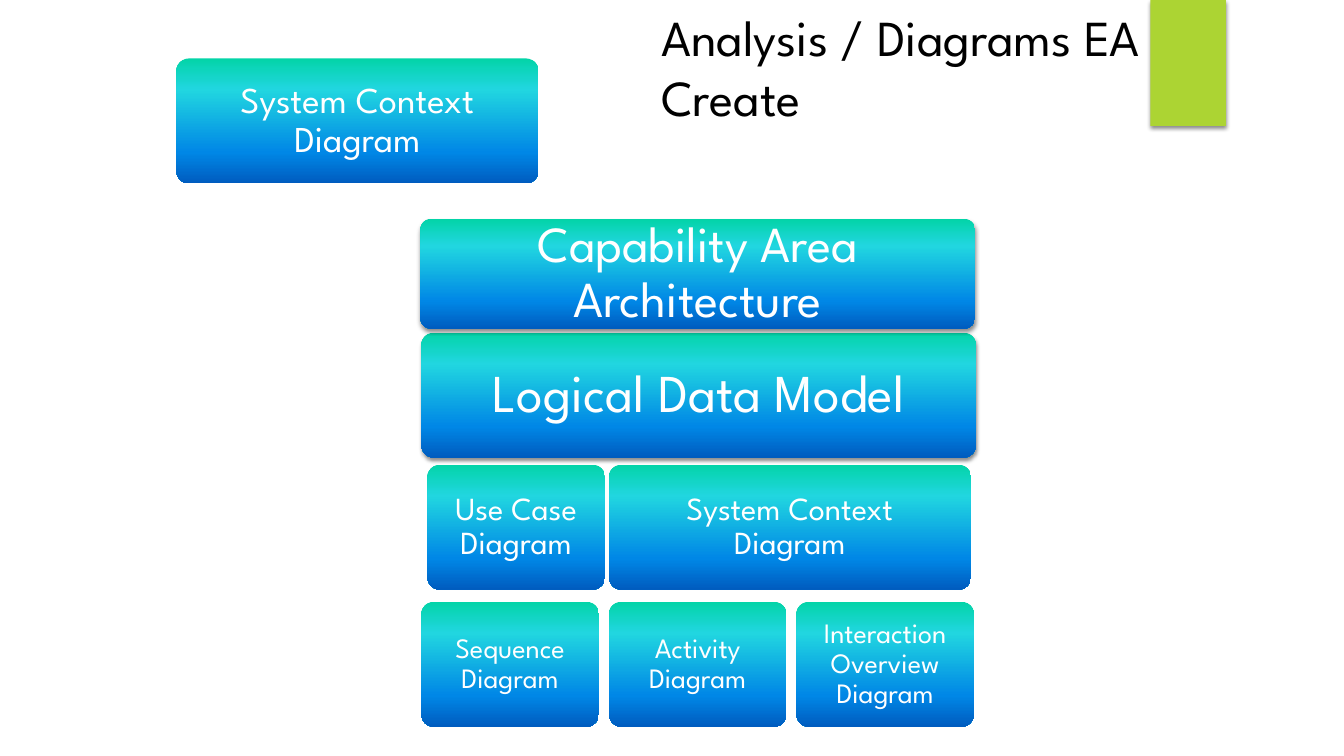
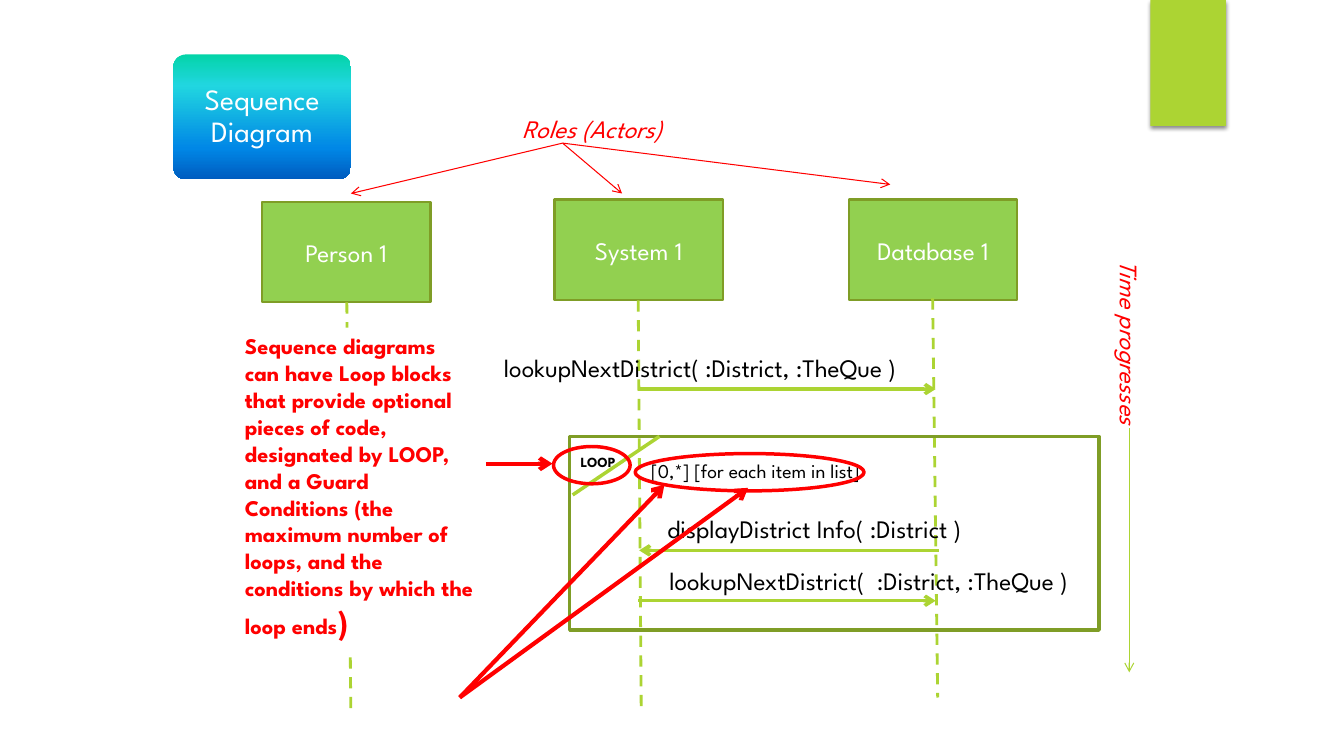
from dataclasses import dataclass

from lxml.etree import SubElement
from pptx import Presentation
from pptx.dml.color import RGBColor
from pptx.enum.dml import MSO_LINE
from pptx.enum.shapes import MSO_CONNECTOR, MSO_SHAPE
from pptx.enum.text import MSO_ANCHOR, PP_ALIGN
from pptx.oxml.ns import qn
from pptx.util import Inches, Pt


@dataclass(frozen=True)
class Theme:
    """Colours, font and type sizes of the deck."""

    font: str = "League Spartan"
    white: str = "FFFFFF"
    black: str = "000000"
    red: str = "FF0000"
    lime: str = "ACD433"
    green: str = "92D050"
    olive: str = "7F9D26"
    gradient: tuple = ((0, "03D4A8"), (25, "21D6E0"), (75, "0087E6"), (100, "005CBF"))
    title: int = 36
    large: int = 38
    note_end: int = 24
    context: int = 26
    medium: int = 23
    single: int = 21
    small: int = 20
    body: int = 18
    note: int = 16
    guard: int = 14
    label: int = 10
    hairline: float = 0.75
    outline: float = 1.5
    dashed: float = 2
    message: float = 2.5
    pointer: float = 3


class DeckBuilder:
    """Draws styled elements on the current slide."""

    def __init__(self, theme):
        self.theme = theme
        self.deck = Presentation()
        self.deck.slide_width, self.deck.slide_height = Inches(13.33), Inches(7.5)
        self.page = None

    def new_page(self):
        self.page = self.deck.slides.add_slide(self.deck.slide_layouts[6])
        band = self.shape(MSO_SHAPE.RECTANGLE, (11.41, 0, 0.75, 1.25), fill=self.theme.lime)
        self.cast_shadow(band)

    def cast_shadow(self, shape):
        effects = shape.element.spPr.find(qn("a:effectLst"))
        shadow = SubElement(effects, qn("a:outerShdw"), blurRad=str(Pt(3)),
                            dist=str(Pt(2)), dir="5400000", rotWithShape="0")
        colour = SubElement(shadow, qn("a:srgbClr"), val=self.theme.black)
        SubElement(colour, qn("a:alpha"), val="45000")

    def shape(self, preset, place, fill=None, line=None, width=None):
        shape = self.page.shapes.add_shape(preset, *map(Inches, place))
        shape.shadow.inherit = False
        if fill:
            shape.fill.solid()
            shape.fill.fore_color.rgb = RGBColor.from_string(fill)
        else:
            shape.fill.background()
        if line:
            shape.line.color.rgb = RGBColor.from_string(line)
            shape.line.width = Pt(width)
        else:
            shape.line.fill.background()
        return shape

    def set_text(self, shape, spans, size, colour, align=PP_ALIGN.LEFT,
                 anchor=MSO_ANCHOR.TOP, bold=False, italic=False):
        frame = shape.text_frame
        frame.word_wrap = True
        frame.vertical_anchor = anchor
        para = frame.paragraphs[0]
        para.alignment = align
        font = para.font
        font.name, font.size, font.bold, font.italic = self.theme.font, Pt(size), bold, italic
        font.color.rgb = RGBColor.from_string(colour)
        for text, own_size in spans:
            span = para.add_run()
            span.text = text
            if own_size:
                span.font.size = Pt(own_size)
        return para

    def text(self, text, place, size, colour=None, rotation=0, **style):
        box = self.page.shapes.add_textbox(*map(Inches, place))
        box.rotation = rotation
        self.set_text(box, [(text, None)], size, colour or self.theme.black, **style)

    def tile(self, text, place, size, inset, shadow=False):
        tile = self.shape(MSO_SHAPE.ROUNDED_RECTANGLE, place)
        tile.adjustments[0] = 0.1
        tile.fill.gradient()
        tile.fill.gradient_angle = 270
        stops = tile.element.spPr.find(qn("a:gradFill")).find(qn("a:gsLst"))
        stops.clear()
        for percent, colour in self.theme.gradient:
            stop = SubElement(stops, qn("a:gs"), pos=str(percent * 1000))
            SubElement(stop, qn("a:srgbClr"), val=colour)
        if shadow:
            self.cast_shadow(tile)
        frame = tile.text_frame
        frame.margin_left = frame.margin_right = Inches(inset)
        frame.margin_top = frame.margin_bottom = Inches(inset)
        para = self.set_text(tile, [(text, None)], size, self.theme.white,
                             PP_ALIGN.CENTER, MSO_ANCHOR.MIDDLE)
        para.line_spacing = 0.9

    def role(self, text, left, top):
        box = self.shape(MSO_SHAPE.RECTANGLE, (left, top, 1.67, 1), self.theme.green,
                         self.theme.olive, self.theme.outline)
        self.set_text(box, [(text, None)], self.theme.body, self.theme.white,
                      PP_ALIGN.CENTER, MSO_ANCHOR.MIDDLE)

    def note(self, spans, place):
        box = self.shape(MSO_SHAPE.RECTANGLE, place, self.theme.white)
        self.set_text(box, spans, self.theme.note, self.theme.red, bold=True)

    def line(self, start, end, colour, width, arrow=True, dashed=False):
        line = self.page.shapes.add_connector(
            MSO_CONNECTOR.STRAIGHT, *map(Inches, (*start, *end)))
        line.line.color.rgb = RGBColor.from_string(colour)
        line.line.width = Pt(width)
        if dashed:
            line.line.dash_style = MSO_LINE.DASH
        properties = line.element.spPr
        if arrow:
            SubElement(properties.find(qn("a:ln")), qn("a:tailEnd"), type="arrow")
        SubElement(properties, qn("a:effectLst"))


def draw_diagram_overview(builder):
    """Draw the stack of analysis diagrams."""
    theme = builder.theme
    builder.new_page()
    builder.tile("Logical Data Model", (4.18, 3.3, 5.5, 1.24), theme.large, 0.2, True)
    builder.tile("System Context Diagram", (6.04, 4.61, 3.59, 1.24), theme.medium, 0.14)
    builder.tile("Use Case Diagram", (4.24, 4.61, 1.76, 1.24), theme.medium, 0.14)
    names = ("Sequence Diagram", "Activity Diagram", "Interaction Overview Diagram")
    for column, name in enumerate(names):
        builder.tile(name, (4.18 + column * 1.86, 5.97, 1.76, 1.24), theme.small, 0.12)
    builder.tile("Capability Area Architecture", (4.17, 2.17, 5.5, 1.09), theme.title, 0.2, True)
    builder.tile("System Context Diagram", (1.75, 0.58, 3.59, 1.24), theme.context, 0.15)
    builder.text("Analysis / Diagrams EA Create", (6.46, 0.01, 5.33, 0.77), theme.title)


def draw_sequence_diagram(builder):
    """Draw the annotated sequence diagram with its loop block."""
    theme = builder.theme
    builder.new_page()
    builder.tile("Sequence Diagram", (1.72, 0.54, 1.76, 1.24), theme.single, 0.13)

    for name, left, top in (("Person 1", 2.6, 2), ("System 1", 5.5, 1.98),
                            ("Database 1", 8.42, 1.98)):
        builder.role(name, left, top)
    for start, end in (((3.44, 3), (3.48, 7.08)), ((9.25, 2.96), (9.3, 6.92)),
                       ((6.33, 2.98), (6.36, 7.08))):
        builder.line(start, end, theme.lime, theme.dashed, arrow=False, dashed=True)

    builder.text("Time progresses", (9.83, 3.66, 2.75, 0.4), theme.body, theme.red,
                 rotation=90, italic=True)
    builder.line((11.2, 4.25), (11.2, 6.67), theme.lime, theme.hairline)
    builder.text("Roles (Actors)", (5.08, 1.08, 1.92, 0.4), theme.body, theme.red, italic=True)
    for end in ((3.48, 1.92), (6.17, 1.92), (8.83, 1.83)):
        builder.line((5.58, 1.42), end, theme.red, theme.hairline)

    builder.shape(MSO_SHAPE.RECTANGLE, (5.65, 4.33, 5.25, 1.92),
                  line=theme.olive, width=theme.message)
    builder.line((5.68, 4.91), (6.54, 4.33), theme.lime, theme.message, arrow=False)
    builder.text("LOOP", (5.66, 4.45, 0.64, 0.27), theme.label, bold=True)
    builder.text("[0,*] [for each item in list]", (6.36, 4.5, 2.55, 0.34), theme.guard)

    messages = (
        ("lookupNextDistrict( :District, :TheQue )", (4.9, 3.45, 4.83, 0.4), 6.33, 9.28, 3.86),
        ("displayDistrict Info( :District )", (6.52, 5.04, 3.64, 0.4), 9.31, 6.34, 5.46),
        ("lookupNextDistrict(  :District, :TheQue )", (6.54, 5.56, 4.29, 0.4), 6.33, 9.28, 5.96),
    )
    for text, place, start, end, height in messages:
        builder.text(text, place, theme.body)
        builder.line((start, height), (end, height), theme.lime, theme.message)

    builder.note(
        [("Sequence diagrams can have Loop blocks that provide optional pieces of code, "
          "designated by LOOP, and a Guard Conditions (the maximum number of loops, "
          "and the conditions by which the loop ends", None), (")", theme.note_end)],
        (2.33, 3.25, 2.48, 3.2))
    for place in ((5.49, 4.43, 0.76, 0.37), (6.3, 4.5, 2.27, 0.37)):
        builder.shape(MSO_SHAPE.OVAL, place, line=theme.red, width=theme.message)
    for start, end in (((4.56, 6.92), (6.59, 4.81)), ((4.82, 4.6), (5.48, 4.6)),
                       ((4.56, 6.92), (7.42, 4.84))):
        builder.line(start, end, theme.red, theme.pointer)


def main():
    """Build and save the deck."""
    builder = DeckBuilder(Theme())
    draw_diagram_overview(builder)
    draw_sequence_diagram(builder)
    builder.deck.save("out.pptx")


if __name__ == "__main__":
    main()
